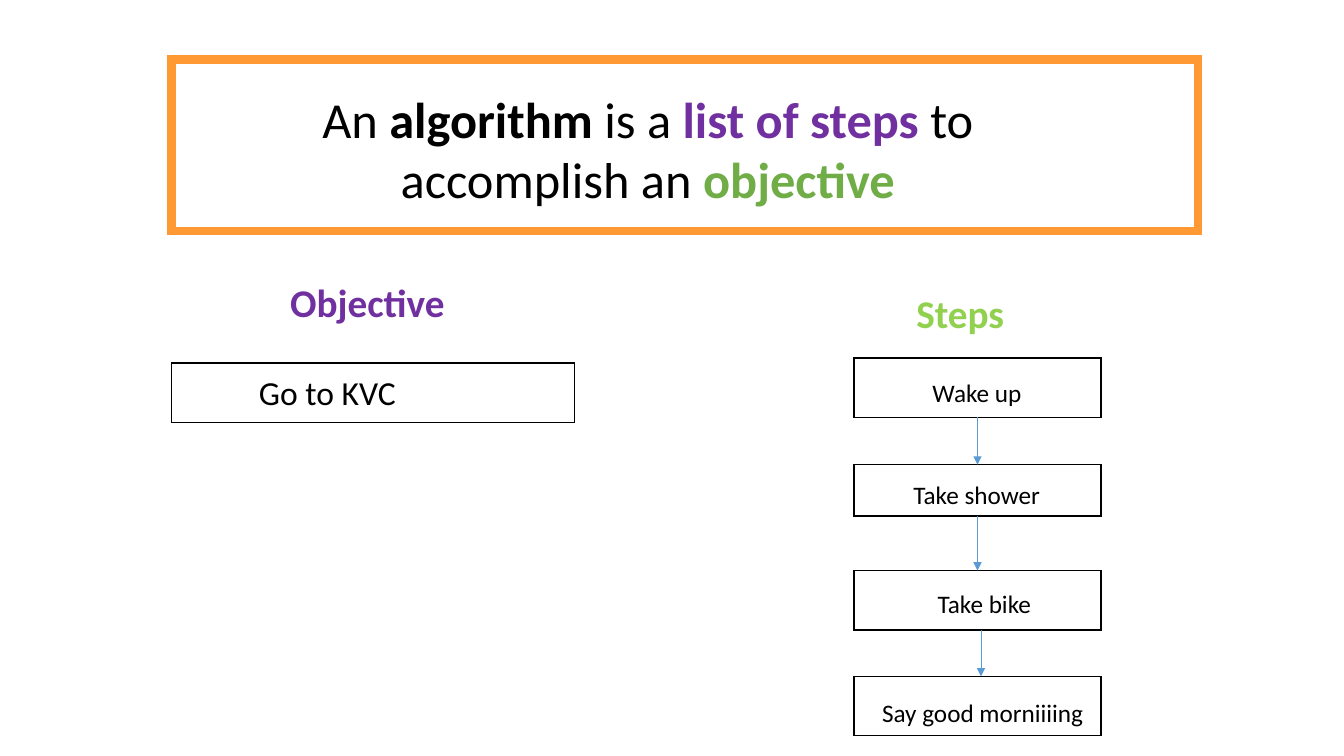
import pptx
import pptx.dml.color
import pptx.enum.shapes
import pptx.enum.text
import pptx.oxml
import pptx.oxml.ns
import pptx.util

RGBColor = pptx.dml.color.RGBColor
BLACK = RGBColor(0x00, 0x00, 0x00)
WHITE = RGBColor(0xFF, 0xFF, 0xFF)
ORANGE = RGBColor(0xFF, 0x99, 0x33)
PURPLE = RGBColor(0x70, 0x30, 0xA0)
GREEN = RGBColor(0x70, 0xAD, 0x47)
LIME = RGBColor(0x92, 0xD0, 0x50)
BLUE = RGBColor(0x5B, 0x9B, 0xD5)

EMU_PER_PX = 9144


def px(length):
    return pptx.util.Emu(length * EMU_PER_PX)


def drawing_element(tag, attributes=""):
    return pptx.oxml.parse_xml(
        f"<a:{tag} {pptx.oxml.ns.nsdecls('a')} {attributes}/>")


class Sketch:
    font = "Calibri"

    def __init__(self, slide):
        self.shapes = slide.shapes

    def box(self, left, top, width, height, line=BLACK, weight=1, fill=WHITE):
        rectangle = self.shapes.add_shape(
            pptx.enum.shapes.MSO_SHAPE.RECTANGLE,
            px(left), px(top), px(width), px(height))
        rectangle.shadow.inherit = False
        if fill is None:
            rectangle.fill.background()
        else:
            rectangle.fill.solid()
            rectangle.fill.fore_color.rgb = fill
        rectangle.line.color.rgb = line
        rectangle.line.width = pptx.util.Pt(weight)
        rectangle.line._get_or_add_ln().append(
            drawing_element("miter", 'lim="800000"'))
        return rectangle

    def text(self, left, top, width, height, runs, size, wrap=False, centred=False):
        frame = self.shapes.add_textbox(
            px(left), px(top), px(width), px(height)).text_frame
        frame.word_wrap = wrap
        frame.auto_size = pptx.enum.text.MSO_AUTO_SIZE.SHAPE_TO_FIT_TEXT
        paragraph = frame.paragraphs[0]
        if centred:
            paragraph.alignment = pptx.enum.text.PP_ALIGN.CENTER
        for wording, color, bold in runs:
            run = paragraph.add_run()
            run.text = wording
            run.font.name = self.font
            run.font.size = pptx.util.Pt(size)
            run.font.color.rgb = color
            run.font.bold = bold

    def arrow(self, x, top, bottom, source=None, target=None):
        connector = self.shapes.add_connector(
            pptx.enum.shapes.MSO_CONNECTOR.STRAIGHT,
            px(x), px(top), px(x), px(bottom))
        if source is not None:
            connector.begin_connect(source, 2)
        if target is not None:
            connector.end_connect(target, 0)
        connector.line.color.rgb = BLUE
        connector.line.width = pptx.util.Pt(0.75)
        connector.line._get_or_add_ln().append(
            drawing_element("tailEnd", 'type="triangle"'))
        connector._element.spPr.append(drawing_element("effectLst"))


def main():
    deck = pptx.Presentation()
    deck.slide_width = pptx.util.Inches(13.33)
    deck.slide_height = pptx.util.Inches(7.5)
    sketch = Sketch(deck.slides.add_slide(deck.slide_layouts[6]))

    definition = [
        ("An ", BLACK, False),
        ("algorithm", BLACK, True),
        (" is a ", BLACK, False),
        ("list of steps ", PURPLE, True),
        ("to accomplish an ", BLACK, False),
        ("objective", GREEN, True),
    ]
    sketch.text(220, 82, 845, 131, definition, 36, wrap=True, centred=True)
    sketch.box(170, 59, 1018, 170, line=ORANGE, weight=6, fill=None)

    sketch.text(278, 271, 184, 57, [("Objective", PURPLE, True)], 28)
    sketch.box(170, 360, 400, 59)
    sketch.text(247, 364, 160, 50, [("Go to KVC", BLACK, False)], 24)

    sketch.text(899, 282, 108, 57, [("Steps", LIME, True)], 28)
    steps = [
        ("Wake up", 355, 59, 915, 369, 128),
        ("Take shower", 461, 51, 896, 471, 169),
        ("Take bike", 566, 59, 920, 579, 131),
        ("Say good morniiiing", 671, 59, 865, 687, 222),
    ]
    step_boxes = []
    for wording, top, height, label_left, label_top, label_width in steps:
        step_boxes.append(sketch.box(847, top, 245, height))
        sketch.text(label_left, label_top, label_width, 40,
                    [(wording, BLACK, False)], 18)

    wake, shower, bike = step_boxes[:3]
    sketch.arrow(970, 414, 461, source=wake, target=shower)
    sketch.arrow(970, 512, 566, source=shower, target=bike)
    sketch.arrow(973, 625, 671)

    deck.save("out.pptx")


if __name__ == "__main__":
    main()
